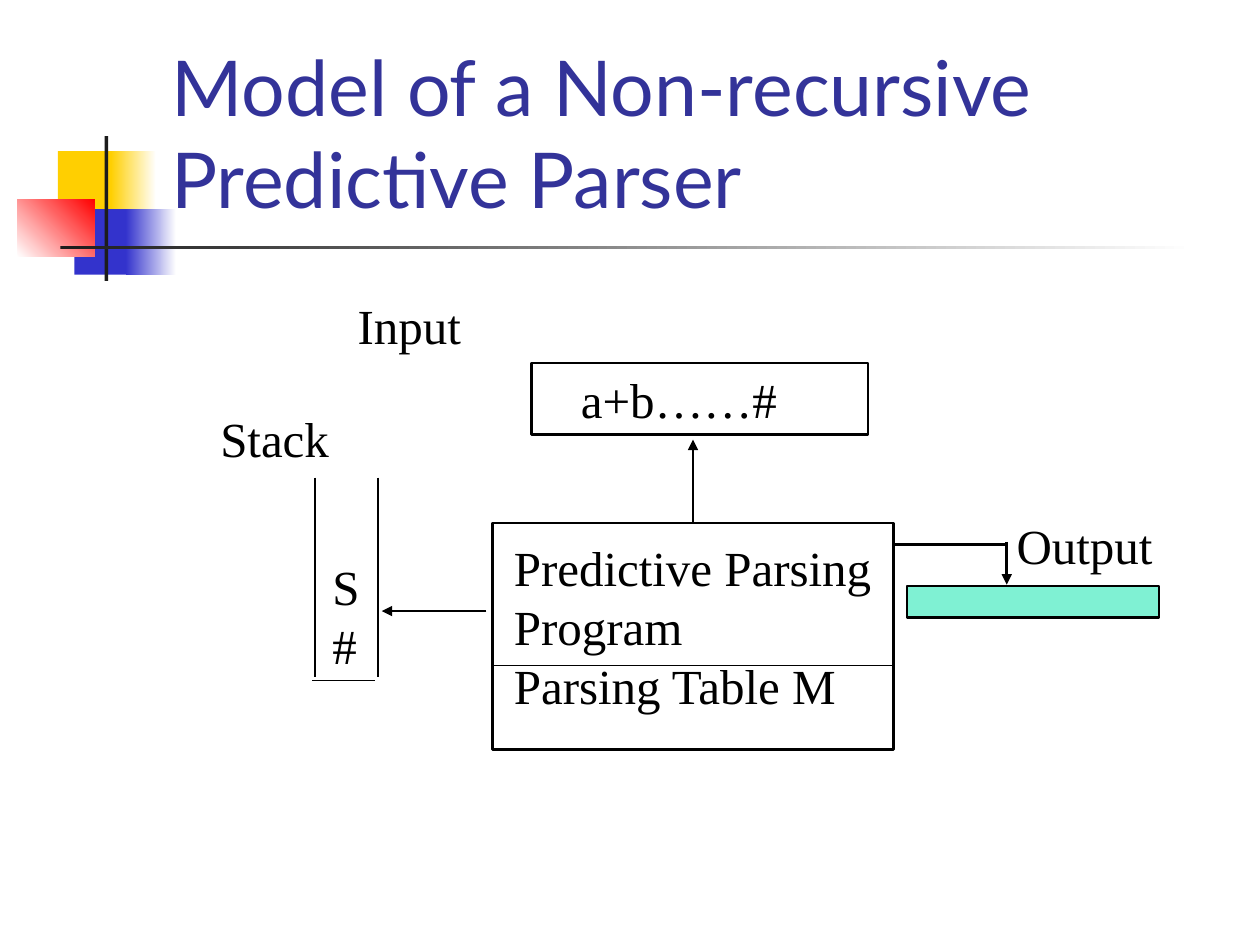
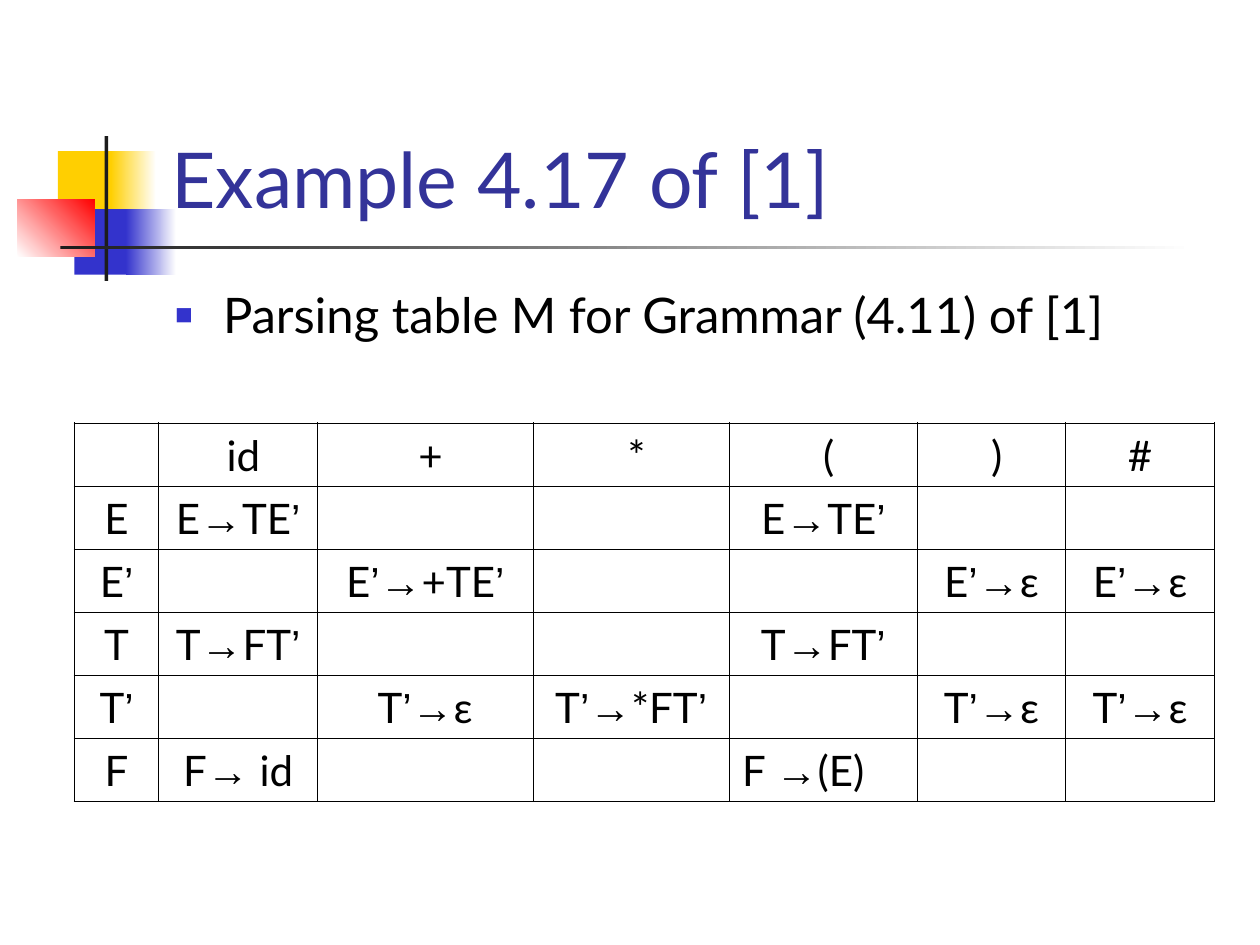
from itertools import groupby

from lxml import etree
from pptx import Presentation
from pptx import util as u
from pptx.dml.color import RGBColor
from pptx.enum import shapes, text
from pptx.oxml.ns import qn

COLORS = {
    "black": "000000", "white": "FFFFFF", "title": "333399", "blue": "3333CC",
    "yellow": "FFCF01", "red": "FF0000", "dark": "1C1C1C", "output": "00E4A8",
}
HEADING_FONT, DIAGRAM_FONT, SYMBOL_FONT = "Lato", "Times New Roman", "Arial"


def rgb(name):
    return RGBColor.from_string(COLORS[name])


def style_runs(paragraph, font_name, size, color="black"):
    for run in paragraph.runs:
        run.font.name = font_name
        run.font.size = u.Pt(size)
        run.font.color.rgb = rgb(color)


presentation = Presentation()
presentation.slide_width, presentation.slide_height = u.Inches(10), u.Inches(7.5)
model_slide = presentation.slides.add_slide(presentation.slide_layouts[5])
table_slide = presentation.slides.add_slide(presentation.slide_layouts[1])

# Shared decoration, moved to the master: box, start colour, end colour, angle
decoration = [
    ((0.46, 1.2, 0.48, 0.52), "yellow", None, 0),
    ((0.88, 1.2, 0.36, 0.52), "yellow", "white", 0),
    ((0.59, 1.66, 0.46, 0.52), "blue", None, 0),
    ((1, 1.66, 0.4, 0.52), "blue", "white", 0),
    ((0.14, 1.58, 0.61, 0.46), "white", "red", 45),
    ((0.83, 1.08, 0.03, 1.15), "dark", None, 0),
    ((0.48, 1.95, 9, 0.03), "dark", "white", 0),
]
master_tree = presentation.slide_master.shapes._spTree
for index, (box, start, end, angle) in enumerate(decoration):
    shape = model_slide.shapes.add_shape(
        shapes.MSO_SHAPE.RECTANGLE, *map(u.Inches, box))
    shape.shadow.inherit = False
    shape.line.fill.background()
    if end:
        shape.fill.gradient()
        shape.fill.gradient_angle = angle
        for stop, color in zip(shape.fill.gradient_stops, (start, end)):
            stop.color.rgb = rgb(color)
    else:
        shape.fill.solid()
        shape.fill.fore_color.rgb = rgb(start)
    shape._element.nvSpPr.cNvPr.set("id", str(100 + index))
    master_tree.insert(2 + index, shape._element)

# Titles
titles = [
    (model_slide, "Model of a Non-recursive Predictive Parser"),
    (table_slide, "Example 4.17 of [1]"),
]
for slide, wording in titles:
    title = slide.shapes.title
    title.left, title.top = u.Inches(1.26), u.Inches(0.23)
    title.width, title.height = u.Inches(8.52), u.Inches(1.6)
    frame = title.text_frame
    frame.text = wording
    frame.auto_size = text.MSO_AUTO_SIZE.NONE
    frame.vertical_anchor = text.MSO_ANCHOR.BOTTOM
    frame.paragraphs[0].alignment = text.PP_ALIGN.LEFT
    style_runs(frame.paragraphs[0], HEADING_FONT, 44, "title")

# Slide 1: boxes of the parser model
boxes = {
    "program": (3.91, 4.15, 3.18, 1.8),
    "output": (7.2, 4.65, 2, 0.25),
    "input": (4.22, 2.88, 2.67, 0.57),
}
model = {}
for name, box in boxes.items():
    shape = model_slide.shapes.add_shape(
        shapes.MSO_SHAPE.RECTANGLE, *map(u.Inches, box))
    shape.shadow.inherit = False
    shape.fill.background()
    shape.line.color.rgb = rgb("black")
    shape.line.width = u.Pt(1.5)
    model[name] = shape

model["output"].fill.solid()
model["output"].fill.fore_color.rgb = rgb("output")
output_color = model["output"]._element.spPr.find(f".//{qn('a:srgbClr')}")
etree.SubElement(output_color, qn("a:alpha"), val="50000")

frame = model["input"].text_frame
frame.text = "a+b……#"
frame.margin_left = u.Inches(0.39)
frame.vertical_anchor = text.MSO_ANCHOR.TOP
frame.paragraphs[0].alignment = text.PP_ALIGN.LEFT
style_runs(frame.paragraphs[0], DIAGRAM_FONT, 28)

# Slide 1: labels (wording, box, wrap)
labels = [
    ("Predictive Parsing Program\nParsing Table M", (3.98, 4.22, 3.11, 1.5), True),
    ("Output", (7.97, 4.04, 1.37, 0.57), False),
    ("S\n#", (2.54, 4.37, 0.41, 1.04), False),
    ("Input", (2.74, 2.3, 1.11, 0.57), False),
    ("Stack", (1.65, 3.19, 1.16, 0.57), False),
]
for wording, box, wrap in labels:
    label = model_slide.shapes.add_textbox(*map(u.Inches, box))
    label.text_frame.text = wording
    label.text_frame.word_wrap = wrap
    for paragraph in label.text_frame.paragraphs:
        style_runs(paragraph, DIAGRAM_FONT, 28)

# Slide 1: lines (start, end, width, arrowhead)
lines = [
    ((5.5, 4.15), (5.5, 3.49), 1.5, True),
    ((3.86, 4.85), (3.03, 4.85), 1.5, True),
    ((7.09, 4.32), (8, 4.32), 1.5, False),
    ((7.99, 4.3), (7.99, 4.64), 1.5, True),
    ((2.5, 3.79), (2.5, 5.37), 0.75, False),
    ((3, 3.79), (3, 5.37), 0.75, False),
    ((2.48, 5.4), (2.98, 5.4), 0.75, False),
    ((3.92, 5.28), (7.09, 5.28), 0.75, False),
]
connectors = []
for start, end, width, arrow in lines:
    connector = model_slide.shapes.add_connector(
        shapes.MSO_CONNECTOR.STRAIGHT, *map(u.Inches, start + end))
    connector.line.color.rgb = rgb("black")
    connector.line.width = u.Pt(width)
    if arrow:
        etree.SubElement(connector.line._get_or_add_ln(), qn("a:tailEnd"),
                         type="triangle")
    etree.SubElement(connector._element.spPr, qn("a:effectLst"))
    connectors.append(connector)
connectors[0].begin_connect(model["program"], 0)

# Slide 2: bullet
body = table_slide.placeholders[1]
body.left, body.top = u.Inches(1.29), u.Inches(2.21)
body.width, body.height = u.Inches(8.5), u.Inches(2.17)
body.text_frame.text = "Parsing table M for Grammar (4.11) of [1]"
body.text_frame.auto_size = text.MSO_AUTO_SIZE.NONE
paragraph = body.text_frame.paragraphs[0]
paragraph.space_before = u.Pt(0)
properties = paragraph._p.get_or_add_pPr()
properties.set("marL", str(u.Inches(0.38)))
properties.set("indent", str(-u.Inches(0.38)))
bullet_color = etree.SubElement(properties, qn("a:buClr"))
etree.SubElement(bullet_color, qn("a:srgbClr"), val=COLORS["blue"])
etree.SubElement(properties, qn("a:buSzPct"), val="60000")
etree.SubElement(properties, qn("a:buChar"), char="■")
style_runs(paragraph, HEADING_FONT, 28)

# Slide 2: parsing table
rows = [
    ["", " id", " +", " *", " (", " )", "#"],
    ["E", "E→TE’", "", "", "E→TE’", "", ""],
    ["E’", "", "E’→+TE’", "", "", "E’→ε", "E’→ε"],
    ["T", "T→FT’", "", "", "T→FT’", "", ""],
    ["T’", "", "T’→ε", "T’→*FT’", "", "T’→ε", "T’→ε"],
    ["F", "F→ id", "", "", "F →(E)", "", ""],
]
column_widths = [0.67, 1.26, 1.71, 1.56, 1.49, 1.18, 1.18]
last_row, last_column = len(rows) - 1, len(column_widths) - 1
table = table_slide.shapes.add_table(
    len(rows), len(column_widths), u.Inches(0.59), u.Inches(3.36),
    u.Inches(sum(column_widths)), u.Inches(0.5 * len(rows))).table
table.first_row = table.horz_banding = False
for column, width in zip(table.columns, column_widths):
    column.width = u.Inches(width)

for row_index, row in enumerate(rows):
    for column_index, wording in enumerate(row):
        cell = table.cell(row_index, column_index)
        paragraph = cell.text_frame.paragraphs[0]
        if wording != "F →(E)":
            paragraph.alignment = text.PP_ALIGN.CENTER
        for is_symbol, letters in groupby(wording, lambda letter: letter in "→’"):
            run = paragraph.add_run()
            run.text = "".join(letters)
            run.font.name = SYMBOL_FONT if is_symbol else HEADING_FONT
            run.font.size = u.Pt(24)
            run.font.color.rgb = rgb("black")
        # Thin grid with a heavier outer frame
        outer_sides = {
            "lnL": column_index == 0, "lnR": column_index == last_column,
            "lnT": row_index == 0, "lnB": row_index == last_row,
        }
        cell_properties = cell._tc.get_or_add_tcPr()
        for side, is_outer in outer_sides.items():
            border = etree.SubElement(cell_properties, qn(f"a:{side}"),
                                      w=str(u.Pt(1.08 if is_outer else 0.45)))
            border_fill = etree.SubElement(border, qn("a:solidFill"))
            etree.SubElement(border_fill, qn("a:srgbClr"), val=COLORS["black"])
        cell.fill.background()

presentation.save("out.pptx")
